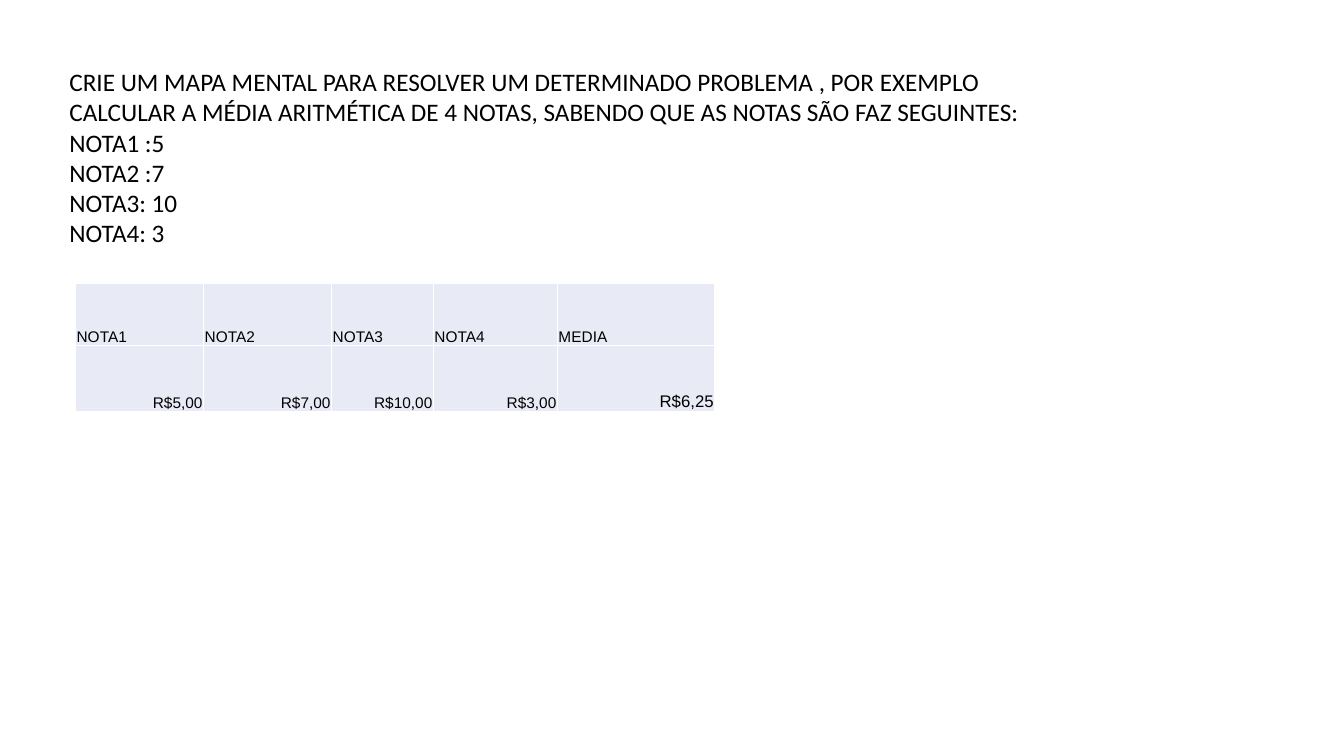
"""Slide with a grade-average exercise and its table of grades."""
from dataclasses import dataclass

from pptx import Presentation
from pptx import util as u
from pptx.dml.color import RGBColor
from pptx.enum import text as t

PX = 9144
TASK = [
    "CRIE UM MAPA MENTAL PARA RESOLVER UM DETERMINADO PROBLEMA , POR EXEMPLO",
    "CALCULAR A MÉDIA ARITMÉTICA DE 4 NOTAS, SABENDO QUE AS NOTAS SÃO FAZ SEGUINTES:",
    "NOTA1 :5",
    "NOTA2 :7",
    "NOTA3: 10",
    "NOTA4: 3",
]


@dataclass
class Grade:
    name: str
    value: str
    width: int
    size: int = 11


GRADES = [
    Grade("NOTA1", "R$5,00", 127),
    Grade("NOTA2", "R$7,00", 127),
    Grade("NOTA3", "R$10,00", 101),
    Grade("NOTA4", "R$3,00", 123),
    Grade("MEDIA", "R$6,25", 156, 12),
]
ROWS = [62, 65]


def px(n: int) -> u.Emu:
    return u.Emu(n * PX)


def color(hue: str) -> RGBColor:
    return RGBColor.from_string(hue)


def write(frame, lines: list[str], *, font: str, size: int,
          hue: str = "000000", align=t.PP_ALIGN.LEFT) -> None:
    for i, line in enumerate(lines):
        para = frame.add_paragraph() if i else frame.paragraphs[0]
        para.alignment = align
        run = para.add_run()
        run.text = line
        run.font.name = font
        run.font.size = u.Pt(size)
        run.font.color.rgb = color(hue)


def fill(cell, label: str, size: int, align) -> None:
    cell.fill.solid()
    cell.fill.fore_color.rgb = color("E8EBF5")
    cell.vertical_anchor = t.MSO_ANCHOR.BOTTOM
    cell.margin_left = cell.margin_right = cell.margin_top = px(1)
    cell.margin_bottom = 0
    write(cell.text_frame, [label], font="Arial", size=size, align=align)


def add_task(slide) -> None:
    box = slide.shapes.add_textbox(px(59), px(61), px(971), px(404))
    box.text_frame.word_wrap = True
    write(box.text_frame, TASK, font="Calibri", size=18)


def add_grades(slide) -> None:
    width = sum(g.width for g in GRADES)
    table = slide.shapes.add_table(len(ROWS), len(GRADES), px(75), px(281),
                                   px(width), px(sum(ROWS))).table
    table.first_row = table.horz_banding = False
    for row, high in zip(table.rows, ROWS):
        row.height = px(high)
    for i, grade in enumerate(GRADES):
        table.columns[i].width = px(grade.width)
        fill(table.cell(0, i), grade.name, 11, t.PP_ALIGN.LEFT)
        fill(table.cell(1, i), grade.value, grade.size, t.PP_ALIGN.RIGHT)


def main() -> None:
    deck = Presentation()
    deck.slide_width, deck.slide_height = px(1333), px(750)
    slide = deck.slides.add_slide(deck.slide_layouts[6])
    add_task(slide)
    add_grades(slide)
    deck.save("out.pptx")


if __name__ == "__main__":
    main()
